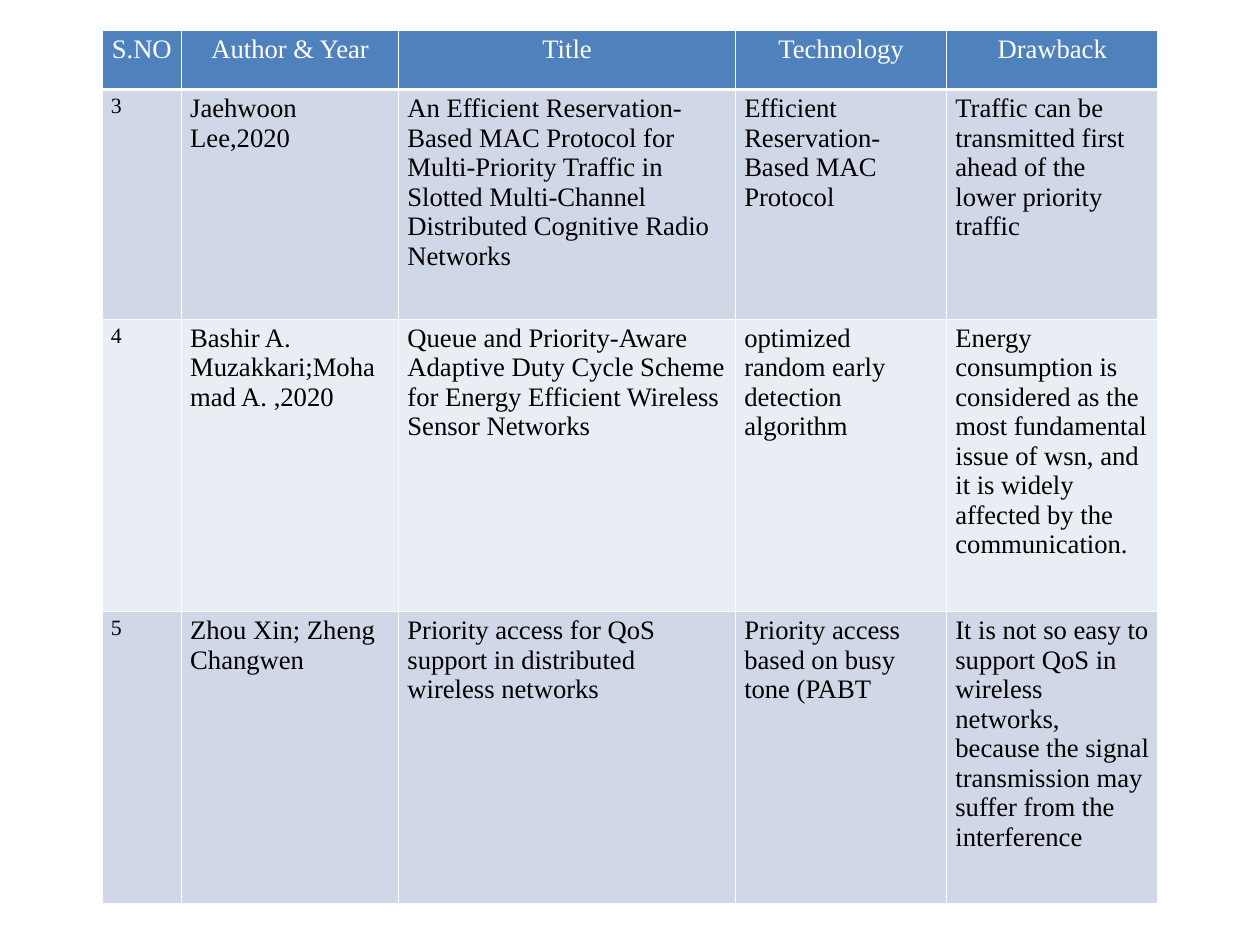
from lxml.etree import SubElement
from pptx import Presentation
from pptx.dml.color import RGBColor
from pptx.enum.text import PP_ALIGN
from pptx.oxml.ns import qn
from pptx.util import Inches, Pt

COLORS = {"header": "4F81BD", "odd": "D0D8E8", "even": "E9EDF4",
          "white": "FFFFFF", "black": "000000"}
FONT = "Times New Roman"
TABLE_BOX = (1.17, 0.35, 12.1, 10.01)
COLUMN_WIDTHS = [0.91, 2.49, 3.86, 2.42, 2.42]
ROW_HEIGHTS = [0.68, 2.63, 3.35, 3.35]
PAPERS = [
    ["S.NO", "Author & Year", "Title", "Technology", "Drawback"],
    ["3", "Jaehwoon Lee,2020",
     "An Efficient Reservation-Based MAC Protocol for Multi-Priority Traffic in "
     "Slotted Multi-Channel Distributed Cognitive Radio Networks",
     "Efficient Reservation-Based MAC Protocol ",
     "Traffic can be transmitted first ahead of the lower priority traffic"],
    ["4", "Bashir A. Muzakkari;Mohamad A. ,2020",
     "Queue and Priority-Aware Adaptive Duty Cycle Scheme for Energy Efficient "
     "Wireless Sensor Networks",
     "optimized random early detection algorithm ",
     "Energy consumption is considered as the most fundamental issue of wsn, "
     "and it is widely affected by the communication."],
    ["5", "Zhou Xin; Zheng Changwen",
     "Priority access for QoS support in distributed wireless networks",
     "Priority access based on busy tone (PABT",
     "It is not so easy to support QoS in wireless networks, because the signal "
     "transmission may suffer from the interference"],
]


def color(name):
    return RGBColor.from_string(COLORS[name])


def set_borders(cell, bottom_width):
    """Draw white lines on all four sides; call before filling the cell."""
    properties = cell._tc.get_or_add_tcPr()
    for side, width in (("L", 1), ("R", 1), ("T", 1), ("B", bottom_width)):
        line = SubElement(properties, qn(f"a:ln{side}"), w=str(Pt(width)))
        fill = SubElement(line, qn("a:solidFill"))
        SubElement(fill, qn("a:srgbClr"), val=COLORS["white"])


def style_cell(cell, text, row, column):
    is_header = row == 0
    set_borders(cell, 3 if is_header else 1)
    cell.fill.solid()
    cell.fill.fore_color.rgb = color("header" if is_header else "odd" if row % 2 else "even")
    cell.text = text
    para = cell.text_frame.paragraphs[0]
    para.alignment = PP_ALIGN.CENTER if is_header else PP_ALIGN.LEFT
    para.font.name = FONT
    para.font.bold = False
    para.font.size = Pt(22 if is_header or column else 18)
    para.font.color.rgb = color("white" if is_header else "black")


def add_survey_table(page, box, papers):
    left, top, width, height = box
    table = page.shapes.add_table(len(papers), len(papers[0]), Inches(left), Inches(top),
                                  Inches(width), Inches(height)).table
    # Share the box among columns and rows
    for column, share in zip(table.columns, COLUMN_WIDTHS):
        column.width = Inches(width * share / sum(COLUMN_WIDTHS))
    for row, share in zip(table.rows, ROW_HEIGHTS):
        row.height = Inches(height * share / sum(ROW_HEIGHTS))
    # Cell contents
    for row, paper in enumerate(papers):
        for column, text in enumerate(paper):
            style_cell(table.cell(row, column), text, row, column)


deck = Presentation()
deck.slide_width, deck.slide_height = Inches(14.44), Inches(10.83)
page = deck.slides.add_slide(deck.slide_layouts[6])
add_survey_table(page, TABLE_BOX, PAPERS)
deck.save("out.pptx")
